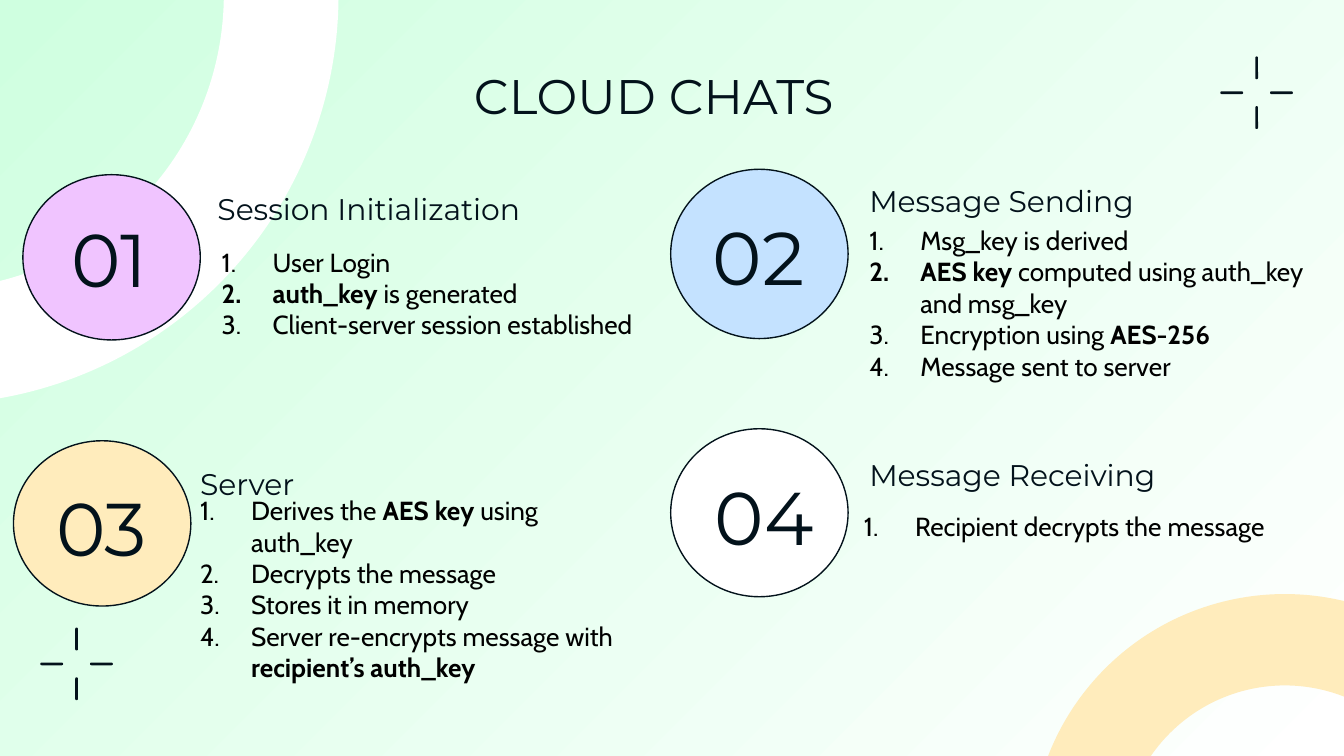
import pptx
import pptx.dml.color
import pptx.enum.shapes
import pptx.enum.text
import pptx.util
from lxml import etree

INK = "03121B"
BLACK = "000000"
LINE_HEIGHT = 0.23
INSET = 0.1
Inches = pptx.util.Inches
SHAPES = pptx.enum.shapes.MSO_SHAPE
ALIGN = pptx.enum.text.PP_ALIGN
ANCHOR = pptx.enum.text.MSO_ANCHOR

STEPS = [
    dict(number="01", fill="F0C4FF", circle=(0.17, 1.3, 1.32, 1.23), number_at=(0.24, 1.34),
         heading="Session Initialization", heading_box=(1.52, 1.26, 2.76, 0.58),
         list_at=(1.55, 1.73, 3.59), lines=3,
         items=[["User Login"], ["", "auth_key", " is generated"],
                ["Client-server session established"]]),
    dict(number="02", fill="C4E2FF", circle=(4.99, 1.26, 1.32, 1.26), number_at=(5.07, 1.33),
         heading="Message Sending", heading_box=(6.37, 1.2, 3.31, 0.58),
         list_at=(6.37, 1.57, 3.63), lines=5,
         items=[["Msg_key is derived"],
                ["", "AES key ", "computed using auth_key and msg_key"],
                ["Encryption using ", "AES-256"], ["Message sent to server"]]),
    dict(number="03", fill="FFECBC", circle=(0.1, 3.28, 1.32, 1.23), number_at=(0.18, 3.34),
         heading="Server", heading_box=(1.39, 3.31, 2.52, 0.58),
         list_at=(1.39, 3.58, 3.47), lines=6,
         items=[["Derives the ", "AES key ", "using auth_key"], ["Decrypts the message"],
                ["Stores it in memory"],
                ["Server re-encrypts message with ", "recipient’s auth_key"]]),
    dict(number="04", fill="FFFFFF", circle=(4.99, 3.19, 1.32, 1.25), number_at=(5.11, 3.26),
         heading="Message Receiving", heading_box=(6.37, 3.24, 2.52, 0.58),
         list_at=(6.33, 3.7, 3.39), lines=1,
         items=[["Recipient decrypts the message"]]),
]


def paint(color_format, color):
    """Set a colour format to a hex colour."""
    color_format.rgb = pptx.dml.color.RGBColor.from_string(color)


def style(paragraph, size, face="Montserrat", color=INK, align=ALIGN.LEFT):
    """Set the font and alignment of a paragraph."""
    paragraph.alignment = align
    paragraph.font.size = pptx.util.Pt(size)
    paragraph.font.name = face
    paint(paragraph.font.color, color)


def prepare_frame(frame, anchor):
    """Set wrapping, insets and anchor of a text frame."""
    frame.word_wrap = True
    frame.vertical_anchor = anchor
    frame.margin_left = frame.margin_right = Inches(INSET)
    frame.margin_top = frame.margin_bottom = Inches(INSET)


def add_background(slide):
    """Fill the slide with a diagonal white to green gradient."""
    fill = slide.background.fill
    fill.gradient()
    fill.gradient_angle = 135
    for stop, position, color in zip(fill.gradient_stops, (0, 1), ("FFFFFF", "CFFFE0")):
        stop.position = position
        paint(stop.color, color)


def add_figure(slide, preset, box, color, outline=None):
    """Add a filled preset shape, outlined only if a colour is given."""
    figure = slide.shapes.add_shape(preset, *map(Inches, box))
    figure.shadow.inherit = False
    figure.fill.solid()
    paint(figure.fill.fore_color, color)
    if outline:
        paint(figure.line.color, outline)
        figure.line.width = pptx.util.Pt(0.75)
    else:
        figure.line.fill.background()
    return figure


def add_arc(slide, left, top, size, color, adjustments):
    """Add a mirrored ring segment."""
    arc = add_figure(slide, SHAPES.BLOCK_ARC, (left, top, size, size), color)
    for index, value in enumerate(adjustments):
        arc.adjustments[index] = value
    arc.element.spPr.xfrm.set("flipH", "1")


def add_spark(slide, x, y):
    """Add four rounded dashes around a centre point."""
    reach, length, thickness = 0.27, 0.17, 0.02
    for start in (-reach, reach - length):
        for box in ((x + start, y - thickness / 2, length, thickness),
                    (x - thickness / 2, y + start, thickness, length)):
            dash = add_figure(slide, SHAPES.ROUNDED_RECTANGLE, box, INK)
            dash.adjustments[0] = 0.5


def add_label(slide, text, box, size, align=ALIGN.LEFT):
    """Add a single line of text, centred vertically."""
    frame = slide.shapes.add_textbox(*map(Inches, box)).text_frame
    prepare_frame(frame, ANCHOR.MIDDLE)
    frame.text = text
    style(frame.paragraphs[0], size, align=align)


def number_paragraph(paragraph):
    """Give a paragraph a hanging automatic number."""
    properties = paragraph._p.get_or_add_pPr()
    indent = Inches(0.38)
    properties.set("marL", str(indent))
    properties.set("indent", str(-indent))
    bullet = etree.Element(pptx.oxml.ns.qn("a:buAutoNum"), type="arabicPeriod")
    properties.insert_element_before(bullet, "a:tabLst", "a:defRPr", "a:extLst")


def add_numbered_list(slide, items, left, top, width, lines):
    """Add a numbered list whose runs at odd positions are bold."""
    height = lines * LINE_HEIGHT + 2 * INSET
    frame = slide.shapes.add_textbox(*map(Inches, (left, top, width, height))).text_frame
    prepare_frame(frame, ANCHOR.TOP)
    for index, item in enumerate(items):
        paragraph = frame.add_paragraph() if index else frame.paragraphs[0]
        style(paragraph, 14, "Cabin", BLACK)
        number_paragraph(paragraph)
        for position, text in enumerate(item):
            if text:
                run = paragraph.add_run()
                run.text = text
                if position % 2:
                    run.font.bold = True


def add_title(slide, text):
    """Place and format the title placeholder."""
    title = slide.shapes.title
    title.left, title.top, title.width, title.height = map(Inches, (0.65, 0.39, 8.43, 0.63))
    prepare_frame(title.text_frame, ANCHOR.TOP)
    title.text_frame.text = text
    style(title.text_frame.paragraphs[0], 26, align=ALIGN.CENTER)


def add_step(slide, step):
    """Add a numbered circle with its heading and list."""
    add_figure(slide, SHAPES.OVAL, step["circle"], step["fill"], INK)
    add_label(slide, step["heading"], step["heading_box"], 16)
    add_numbered_list(slide, step["items"], *step["list_at"], step["lines"])
    add_label(slide, step["number"], (*step["number_at"], 1.15, 1.15), 40, ALIGN.CENTER)


def main():
    """Build the slide and save it."""
    deck = pptx.Presentation()
    deck.slide_width = Inches(10)
    deck.slide_height = Inches(10 * 9 / 16)
    slide = deck.slides.add_slide(deck.slide_layouts[5])
    add_background(slide)
    add_arc(slide, -3.58, -3.09, 6.1, "FFFFFF", (54.59, 214.9, 0.14))
    add_arc(slide, 7.67, 4.42, 3.78, "FFECBC", (54.59, 0.64, 0.18))
    add_spark(slide, 9.35, 0.69)
    add_spark(slide, 0.57, 4.94)
    add_title(slide, "CLOUD CHATS")
    for step in STEPS:
        add_step(slide, step)
    deck.save("out.pptx")


if __name__ == "__main__":
    main()
